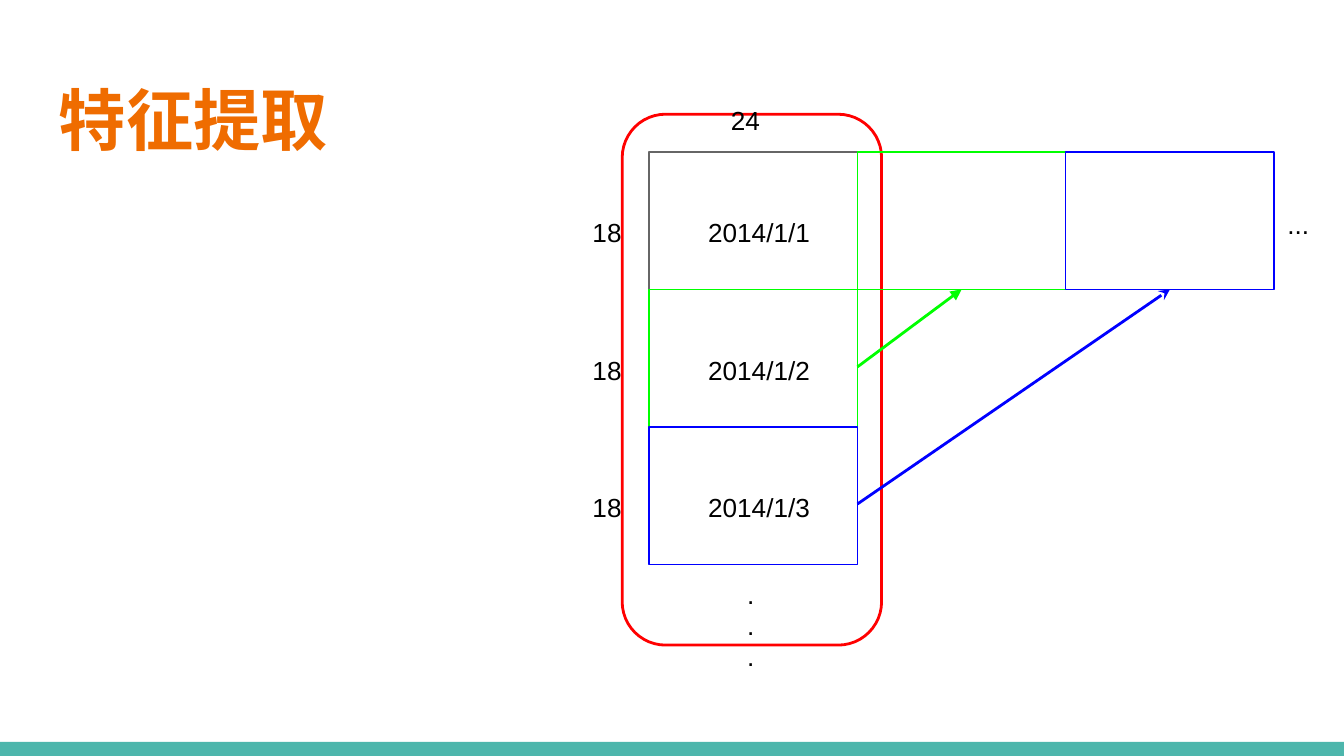
from lxml import etree
from pptx import Presentation
from pptx import util as u
from pptx.dml.color import RGBColor
from pptx.enum import shapes, text
from pptx.oxml.ns import qn

COLORS = {
    "title": "EF6C00", "text": "000000", "bar": "4DB6AC", "frame": "FF0000",
    "gray": "666666", "green": "00FF00", "blue": "0000FF",
}
DAYS = [("2014/1/1", "gray"), ("2014/1/2", "green"), ("2014/1/3", "blue")]
COLUMN_HEIGHT = 3.07
CELL_WIDTH, CELL_HEIGHT = 1.55, COLUMN_HEIGHT / len(DAYS)


def color(name):
    return RGBColor.from_string(COLORS[name])


def add_text(slide, box, content, size=14, font="Arial", fill="text", bold=False,
             anchor=text.MSO_ANCHOR.TOP):
    shape = slide.shapes.add_textbox(*map(u.Inches, box))
    frame = shape.text_frame
    frame.word_wrap = True
    frame.vertical_anchor = anchor
    frame.margin_left = frame.margin_right = u.Inches(0.1)
    frame.margin_top = frame.margin_bottom = u.Inches(0.1)
    run = frame.paragraphs[0].add_run()
    run.text = content
    run.font.size = u.Pt(size)
    run.font.name = font
    run.font.bold = bold
    run.font.color.rgb = color(fill)
    etree.SubElement(run.font._element, qn("a:ea"), typeface=font)


def add_box(slide, box, fill=None, line=None, width=0.75,
            kind=shapes.MSO_SHAPE.RECTANGLE):
    shape = slide.shapes.add_shape(kind, *map(u.Inches, box))
    shape.shadow.inherit = False
    if fill:
        shape.fill.solid()
        shape.fill.fore_color.rgb = color(fill)
    else:
        shape.fill.background()
    if line:
        shape.line.color.rgb = color(line)
        shape.line.width = u.Pt(width)
    else:
        shape.line.fill.background()
    return shape


def add_arrow(slide, start, target, line, head):
    left, top = map(u.Inches, start)
    connector = slide.shapes.add_connector(
        shapes.MSO_CONNECTOR.STRAIGHT, left, top, left, top)
    connector.end_connect(target, 2)
    connector.line.color.rgb = color(line)
    connector.line.width = u.Pt(1.5)
    etree.SubElement(connector.line._get_or_add_ln(), qn("a:tailEnd"), type=head)
    etree.SubElement(connector._element.spPr, qn("a:effectLst"))


def add_day_column(slide, left, top):
    frame = add_box(slide, (left - 0.2, top - 0.28, 1.93, 3.95), line="frame",
                    width=1.5, kind=shapes.MSO_SHAPE.ROUNDED_RECTANGLE)
    frame.adjustments[0] = 0.167
    add_text(slide, (left + 0.51, top - 0.45, 0.52, 0.39), "24")
    for index, (day, line) in enumerate(DAYS):
        row = top + index * CELL_HEIGHT
        add_box(slide, (left, row, CELL_WIDTH, CELL_HEIGHT), line=line)
        add_text(slide, (left - 0.52, row + 0.38, 0.52, 0.39), "18")
        add_text(slide, (left + 0.34, row + 0.38, 1.21, 0.39), day)
    add_text(slide, (left + 0.63, top + COLUMN_HEIGHT, 0.28, 1.02), "...")


def add_feature_row(slide, left, top):
    green, blue = [
        add_box(slide, (left + index * CELL_WIDTH, top, CELL_WIDTH, CELL_HEIGHT),
                line=line)
        for index, line in enumerate(("green", "blue"))
    ]
    add_arrow(slide, (left, top + 2.62), blue, "blue", "stealth")
    add_arrow(slide, (left, top + 1.6), green, "green", "triangle")
    add_text(slide, (left + 2 * CELL_WIDTH, top + 0.32, 0.52, 0.39), "...")


def main():
    presentation = Presentation()
    presentation.slide_width = u.Inches(10)
    presentation.slide_height = presentation.slide_width * 9 // 16
    slide = presentation.slides.add_slide(presentation.slide_layouts[6])
    add_box(slide, (0, 5.52, 10, 0.11), fill="bar")
    add_text(slide, (0.34, 0.5, 9.32, 0.77), "特征提取", size=36,
             font="Roboto Condensed", fill="title", bold=True,
             anchor=text.MSO_ANCHOR.MIDDLE)
    left, top = 4.83, 1.13
    add_day_column(slide, left, top)
    add_feature_row(slide, left + CELL_WIDTH, top)
    presentation.save("out.pptx")


if __name__ == "__main__":
    main()
